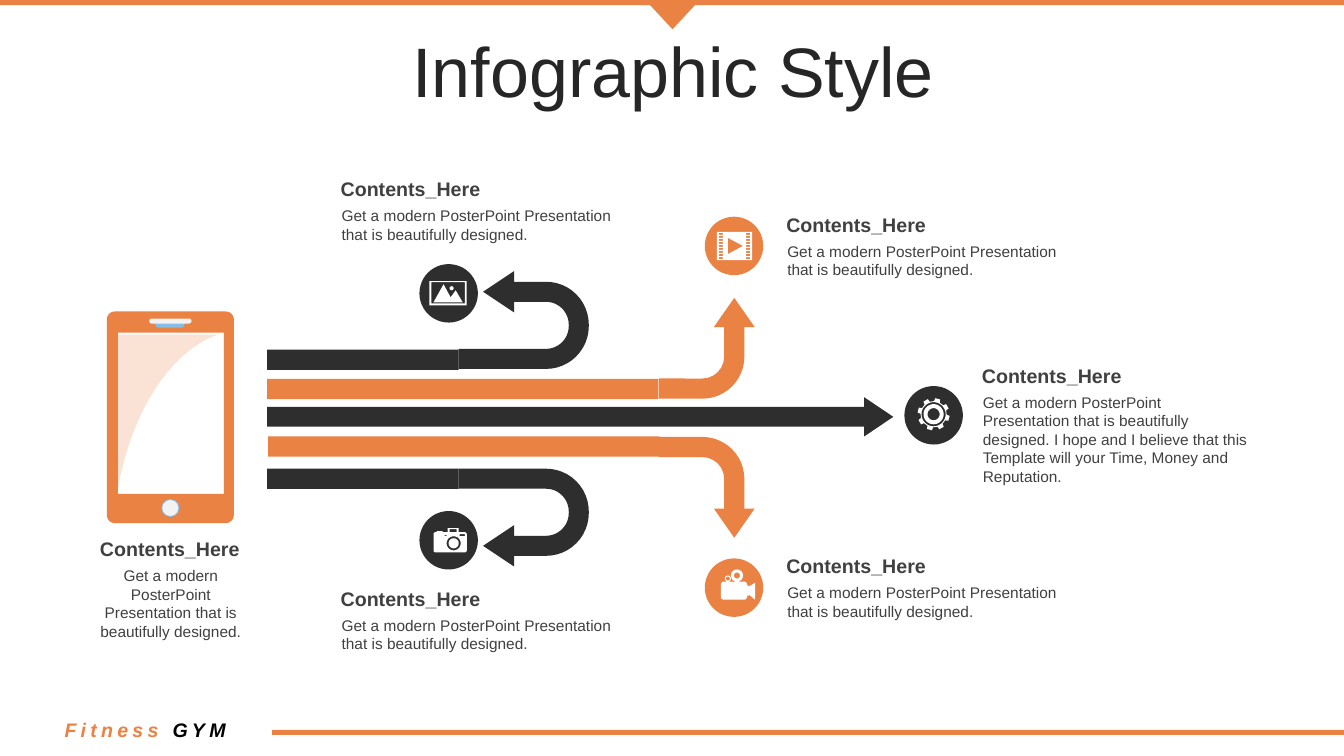
from math import cos, radians, sin

from lxml.etree import SubElement
from pptx import Presentation
from pptx.dml.color import RGBColor
from pptx.enum.shapes import MSO_SHAPE as KIND
from pptx.enum.text import MSO_ANCHOR, MSO_AUTO_SIZE, PP_ALIGN
from pptx.oxml.ns import qn
from pptx.util import Inches, Pt

ORANGE, DARK, BLUE, PALE = "EA8244", "2E2E2E", "87BCE6", "F2F2F2"
WHITE, GREY, INK, BLACK = "FFFFFF", "404040", "262626", "000000"

TITLE = "Infographic Style"
HEAD = "Contents_Here"
BRIEF = "Get a modern PosterPoint Presentation that is beautifully designed."
LONG = BRIEF + " I hope and I believe that this Template will your Time, Money and Reputation."

NOTES = [
    (0.83, 5.28, 1.73, 0.84, BRIEF, PP_ALIGN.CENTER),
    (7.71, 2.06, 2.91, 0.47, BRIEF, PP_ALIGN.LEFT),
    (7.71, 5.45, 2.91, 0.47, BRIEF, PP_ALIGN.LEFT),
    (9.65, 3.56, 2.84, 1.03, LONG, PP_ALIGN.LEFT),
    (3.29, 1.71, 2.91, 0.47, BRIEF, PP_ALIGN.LEFT),
    (3.29, 5.77, 2.91, 0.47, BRIEF, PP_ALIGN.LEFT),
]
DISCS = [
    (6.99, 2.15, ORANGE),
    (6.99, 5.54, ORANGE),
    (8.97, 3.83, DARK),
    (4.16, 2.62, DARK),
    (4.16, 5.07, DARK),
]
BEND = [0.211, 0.213, 0.304, 0.438]
TURN = [0.205, 0.211, 0.317, 0.438, 0.813]
PATHS = [
    (KIND.BENT_ARROW, (6.51, 2.98, 1, 0.95), BEND, 90, "H", (2.65, 3.76, 3.88, 0.2), ORANGE),
    (KIND.U_TURN_ARROW, (4.71, 2.53, 0.97, 1.29), TURN, 90, "H", (2.65, 3.47, 1.9, 0.2), DARK),
    (KIND.BENT_ARROW, (6.51, 4.36, 1, 0.95), BEND, 270, "HV", (2.66, 4.33, 3.88, 0.2), ORANGE),
    (KIND.U_TURN_ARROW, (4.71, 4.49, 0.97, 1.29), TURN, 270, "HV", (2.65, 4.65, 1.9, 0.2), DARK),
]


def hue(value):
    return RGBColor.from_string(value)


def polar(x, y, size, angle):
    turn = radians(angle)
    return x + size * cos(turn), y + size * sin(turn)


def oval(x, y, size):
    return [polar(x, y, size, angle) for angle in range(0, 360, 10)]


def box(left, top, right, bottom, curve=0):
    if not curve:
        return [(left, top), (right, top), (right, bottom), (left, bottom)]
    spots = [
        (right - curve, bottom - curve),
        (left + curve, bottom - curve),
        (left + curve, top + curve),
        (right - curve, top + curve),
    ]
    return [
        polar(x, y, curve, 90 * turn + step)
        for turn, (x, y) in enumerate(spots)
        for step in range(0, 91, 15)
    ]


def bezier(*spots, steps=24):
    points = []
    for step in range(steps + 1):
        t = step / steps
        parts = [(1 - t) ** 3, 3 * t * (1 - t) ** 2, 3 * t * t * (1 - t), t ** 3]
        points.append(tuple(sum(p * s[axis] for p, s in zip(parts, spots)) for axis in (0, 1)))
    return points


def gear(x, y, teeth=8):
    rim = []
    for tooth in range(teeth):
        mid = 15 + tooth * 360 / teeth
        for size, shift in [(0.13, -13), (0.16, -9), (0.16, 9), (0.13, 13)]:
            rim.append(polar(x, y, size, mid + shift))
    return rim


def paint(shape, color):
    shape.shadow.inherit = False
    shape.fill.solid()
    shape.fill.fore_color.rgb = hue(color)
    shape.line.fill.background()
    return shape


def draw(kind, place, color, adjust=(), turn=0, flip=""):
    shape = slide.shapes.add_shape(kind, *map(Inches, place))
    for index, value in enumerate(adjust):
        shape.adjustments[index] = value
    shape.rotation = turn
    for axis in flip:
        shape._element.spPr.get_or_add_xfrm().set("flip" + axis, "1")
    return paint(shape, color)


def trace(loops, color):
    pen = None
    for loop in loops:
        points = [(Inches(x), Inches(y)) for x, y in loop]
        if pen is None:
            pen = slide.shapes.build_freeform(*points[0], scale=1.0)
        else:
            pen.move_to(*points[0])
        pen.add_line_segments(points[1:], close=True)
    return paint(pen.convert_to_shape(), color)


def write(text, place, shape=None, size=11, color=GREY, bold=False, italic=False,
          align=PP_ALIGN.LEFT, anchor=MSO_ANCHOR.TOP, grow=False, lead=None, track=None):
    shape = shape or slide.shapes.add_textbox(0, 0, 0, 0)
    shape.left, shape.top, shape.width, shape.height = map(Inches, place)
    frame = shape.text_frame
    frame.word_wrap = True
    frame.auto_size = MSO_AUTO_SIZE.SHAPE_TO_FIT_TEXT if grow else MSO_AUTO_SIZE.NONE
    frame.vertical_anchor = anchor
    para = frame.paragraphs[0]
    para.alignment = align
    if lead:
        para.line_spacing = lead
    for words, tint in [(text, color)] if isinstance(text, str) else text:
        run = para.add_run()
        run.text = words
        font = run.font
        font.name, font.size, font.bold, font.italic = "Arial", Pt(size), bold, italic
        font.color.rgb = hue(tint)
        if track:
            run._r.get_or_add_rPr().set("spc", str(track * 100))


deck = Presentation()
deck.slide_width, deck.slide_height = Inches(13.33), Inches(7.5)
slide = deck.slides.add_slide(deck.slide_layouts[5])

draw(KIND.ISOSCELES_TRIANGLE, (6.4, 0, 0.54, 0.29), ORANGE, turn=180)
draw(KIND.RECTANGLE, (0, 0, 13.33, 0.05), ORANGE)
write([("Fitness ", ORANGE), ("GYM", BLACK)], (0.51, 7.01, 1.86, 0.45), size=14, bold=True,
      italic=True, align=PP_ALIGN.CENTER, anchor=MSO_ANCHOR.MIDDLE, track=3)
draw(KIND.RECTANGLE, (2.7, 7.24, 10.63, 0.05), ORANGE)
write(TITLE, (0.35, 0.37, 12.66, 0.79), shape=slide.shapes.title, size=50, color=INK,
      align=PP_ALIGN.CENTER, anchor=MSO_ANCHOR.MIDDLE, lead=0.8)

trace([box(1.06, 3.09, 2.32, 5.19, 0.08), box(1.17, 3.3, 2.22, 4.9)], ORANGE)
draw(KIND.ROUNDED_RECTANGLE, (1.54, 3.19, 0.29, 0.06), BLUE, [0.5])
draw(KIND.OVAL, (1.6, 4.95, 0.18, 0.18), BLUE)
glare = trace([bezier((1.16, 4.9), (1.32, 3.95), (1.78, 3.45), (2.16, 3.32)) + [(1.16, 3.32)]],
              ORANGE)
tone = glare._element.spPr.find(qn("a:solidFill")).find(qn("a:srgbClr"))
SubElement(tone, qn("a:alpha")).set("val", "22000")
draw(KIND.ROUNDED_RECTANGLE, (1.48, 3.16, 0.42, 0.05), PALE, [0.5])
draw(KIND.OVAL, (1.61, 4.96, 0.16, 0.16), PALE)

draw(KIND.RIGHT_ARROW, (2.65, 3.94, 6.21, 0.39), DARK, [0.5, 0.742])
for left, top, width, height, body, align in NOTES:
    write(body, (left, top + 0.29, width, height), align=align, grow=True)
    write(HEAD, (left - 0.01, top, width, 0.34), size=14, bold=True, align=align, grow=True)
for left, top, color in DISCS:
    draw(KIND.OVAL, (left, top, 0.58, 0.58), color)
for kind, place, adjust, turn, flip, bar, color in PATHS:
    draw(kind, place, color, adjust, turn, flip)
    draw(KIND.RECTANGLE, bar, color)

holes = [box(x, 2.31 + 0.03 * row, x + 0.04, 2.33 + 0.03 * row)
         for x in (7.13, 7.4) for row in range(9)]
film = [box(7.11, 2.3, 7.46, 2.58), [(7.22, 2.36), (7.22, 2.52), (7.37, 2.44)]] + holes
photo = [
    box(4.26, 2.79, 4.63, 3.03),
    box(4.28, 2.8, 4.61, 3.01),
    [(4.4, 2.82), (4.47, 2.95), (4.52, 2.88), (4.59, 3), (4.3, 3)],
    oval(4.48, 2.86, 0.02),
]
cog = [gear(9.26, 4.11)] + [oval(9.26, 4.11, size) for size in (0.12, 0.1, 0.06)]
camera = [
    box(4.3, 5.28, 4.63, 5.48, 0.02),
    box(4.33, 5.27, 4.39, 5.28),
    box(4.44, 5.24, 4.55, 5.28),
    box(4.46, 5.25, 4.53, 5.28),
    box(4.41, 5.31, 4.43, 5.32),
    box(4.56, 5.3, 4.61, 5.32),
    oval(4.5, 5.39, 0.07),
    oval(4.5, 5.39, 0.05),
]
video = [
    box(7.15, 5.77, 7.41, 5.95, 0.03),
    box(7.41, 5.81, 7.43, 5.91),
    [(7.43, 5.82), (7.49, 5.78), (7.49, 5.95), (7.43, 5.9)],
    oval(7.31, 5.71, 0.06),
    oval(7.31, 5.71, 0.03),
    oval(7.22, 5.74, 0.03),
    oval(7.22, 5.74, 0.02),
]
for icon in (film, photo, cog, camera, video):
    trace(icon, WHITE)

deck.save("out.pptx")
